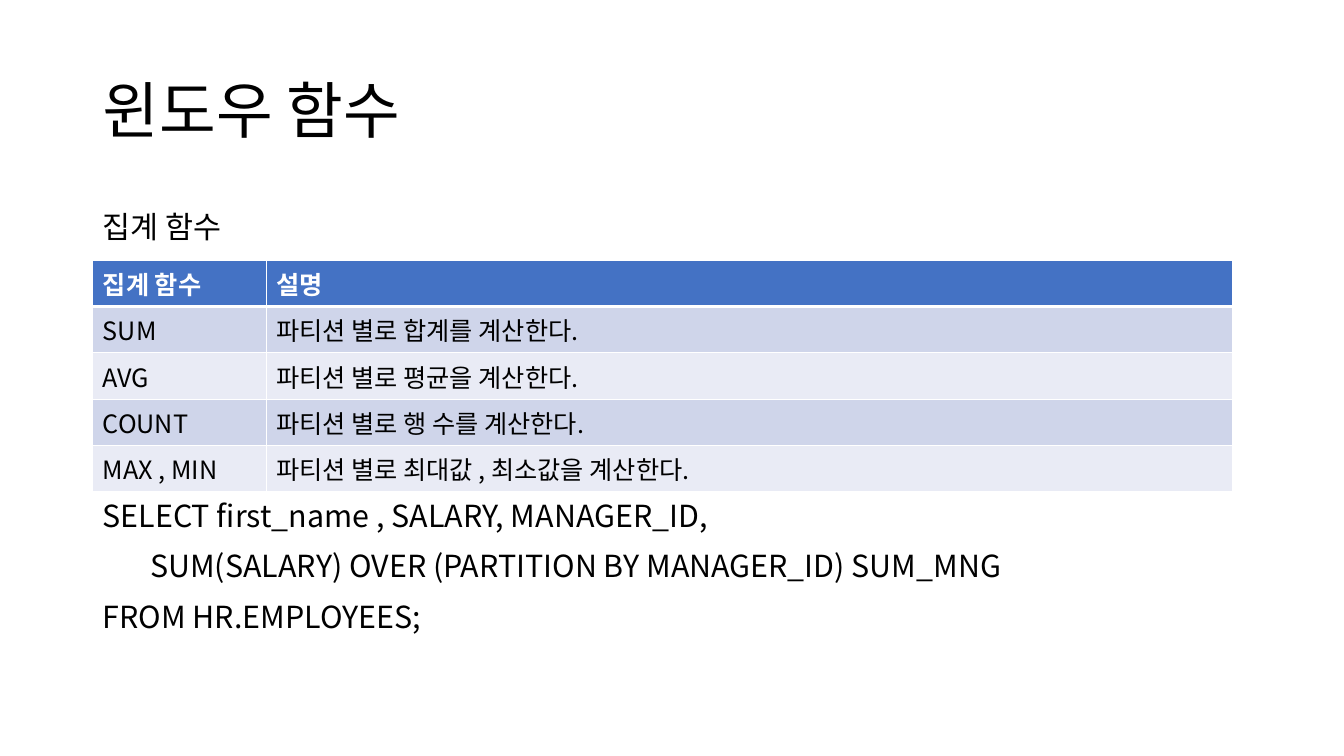
from lxml.etree import SubElement
from pptx import Presentation
from pptx.dml.color import RGBColor
from pptx.enum.text import MSO_ANCHOR, MSO_AUTO_SIZE, PP_ALIGN
from pptx.oxml.ns import qn
from pptx.util import Inches, Pt

FONT = "Noto Sans CJK KR"
BLACK = RGBColor(0x00, 0x00, 0x00)
WHITE = RGBColor(0xFF, 0xFF, 0xFF)
HEADER_BLUE = RGBColor(0x44, 0x72, 0xC4)
BANDS = (RGBColor(0xE9, 0xEB, 0xF5), RGBColor(0xCF, 0xD5, 0xEA))

LEFT = Inches(0.92)
CONTENT_WIDTH = Inches(11.5)
COLUMN_WIDTHS = (Inches(1.72), Inches(9.59))
TABLE_TOP = Inches(2.58)
ROW_HEIGHT = Inches(0.46)

TITLE = "윈도우 함수"
SUBTITLE = "집계 함수"
FUNCTIONS = (
    ("집계 함수", "설명"),
    ("SUM", "파티션 별로 합계를 계산한다."),
    ("AVG", "파티션 별로 평균을 계산한다."),
    ("COUNT", "파티션 별로 행 수를 계산한다."),
    ("MAX , MIN", "파티션 별로 최대값 , 최소값을 계산한다."),
)
QUERY = (
    "SELECT first_name , SALARY, MANAGER_ID,",
    "       SUM(SALARY) OVER (PARTITION BY MANAGER_ID) SUM_MNG",
    "FROM HR.EMPLOYEES;",
)


def write_paragraph(paragraph, text, size, color=BLACK, bold=False):
    paragraph.alignment = PP_ALIGN.LEFT
    run = paragraph.add_run()
    run.text = text
    font = paragraph.font
    font.size = Pt(size)
    font.bold = bold
    font.color.rgb = color
    font.name = FONT
    run.font.name = FONT
    SubElement(run.font._element, qn("a:ea"), typeface=FONT)


def add_title(slide):
    title = slide.shapes.title
    title.left, title.top = LEFT, Inches(0.4)
    title.width, title.height = CONTENT_WIDTH, Inches(1.45)
    frame = title.text_frame
    frame.vertical_anchor = MSO_ANCHOR.MIDDLE
    frame.auto_size = MSO_AUTO_SIZE.NONE
    paragraph = frame.paragraphs[0]
    paragraph.line_spacing = 0.9
    write_paragraph(paragraph, TITLE, 44)


def add_text(slide, top, height, lines):
    frame = slide.shapes.add_textbox(LEFT, top, CONTENT_WIDTH, height).text_frame
    frame.word_wrap = True
    for index, line in enumerate(lines):
        paragraph = frame.add_paragraph() if index else frame.paragraphs[0]
        paragraph.space_before = Pt(10 if index else 0)
        write_paragraph(paragraph, line, 21.7)


def set_borders(cell, row_index):
    widths = {
        "a:lnL": 1,
        "a:lnR": 1,
        "a:lnT": 3 if row_index == 1 else 1,
        "a:lnB": 3 if row_index == 0 else 1,
    }
    properties = cell._tc.get_or_add_tcPr()
    for tag, width in widths.items():
        line = SubElement(properties, qn(tag), w=str(Pt(width)))
        fill = SubElement(line, qn("a:solidFill"))
        SubElement(fill, qn("a:srgbClr"), val=str(WHITE))


def add_function_table(slide):
    table = slide.shapes.add_table(
        len(FUNCTIONS), len(COLUMN_WIDTHS), LEFT, TABLE_TOP,
        sum(COLUMN_WIDTHS), ROW_HEIGHT * len(FUNCTIONS),
    ).table
    for column, width in zip(table.columns, COLUMN_WIDTHS):
        column.width = width
    for row_index, texts in enumerate(FUNCTIONS):
        header = row_index == 0
        for column_index, text in enumerate(texts):
            cell = table.cell(row_index, column_index)
            set_borders(cell, row_index)
            cell.fill.solid()
            cell.fill.fore_color.rgb = HEADER_BLUE if header else BANDS[row_index % 2]
            write_paragraph(
                cell.text_frame.paragraphs[0], text, 18,
                WHITE if header else BLACK, header,
            )


def main():
    presentation = Presentation()
    presentation.slide_width = Inches(13.33)
    presentation.slide_height = Inches(7.5)
    slide = presentation.slides.add_slide(presentation.slide_layouts[5])
    add_title(slide)
    add_text(slide, Inches(2.02), Inches(0.54), [SUBTITLE])
    add_function_table(slide)
    add_text(slide, TABLE_TOP + ROW_HEIGHT * len(FUNCTIONS), Inches(1.8), QUERY)
    presentation.save("out.pptx")


if __name__ == "__main__":
    main()
